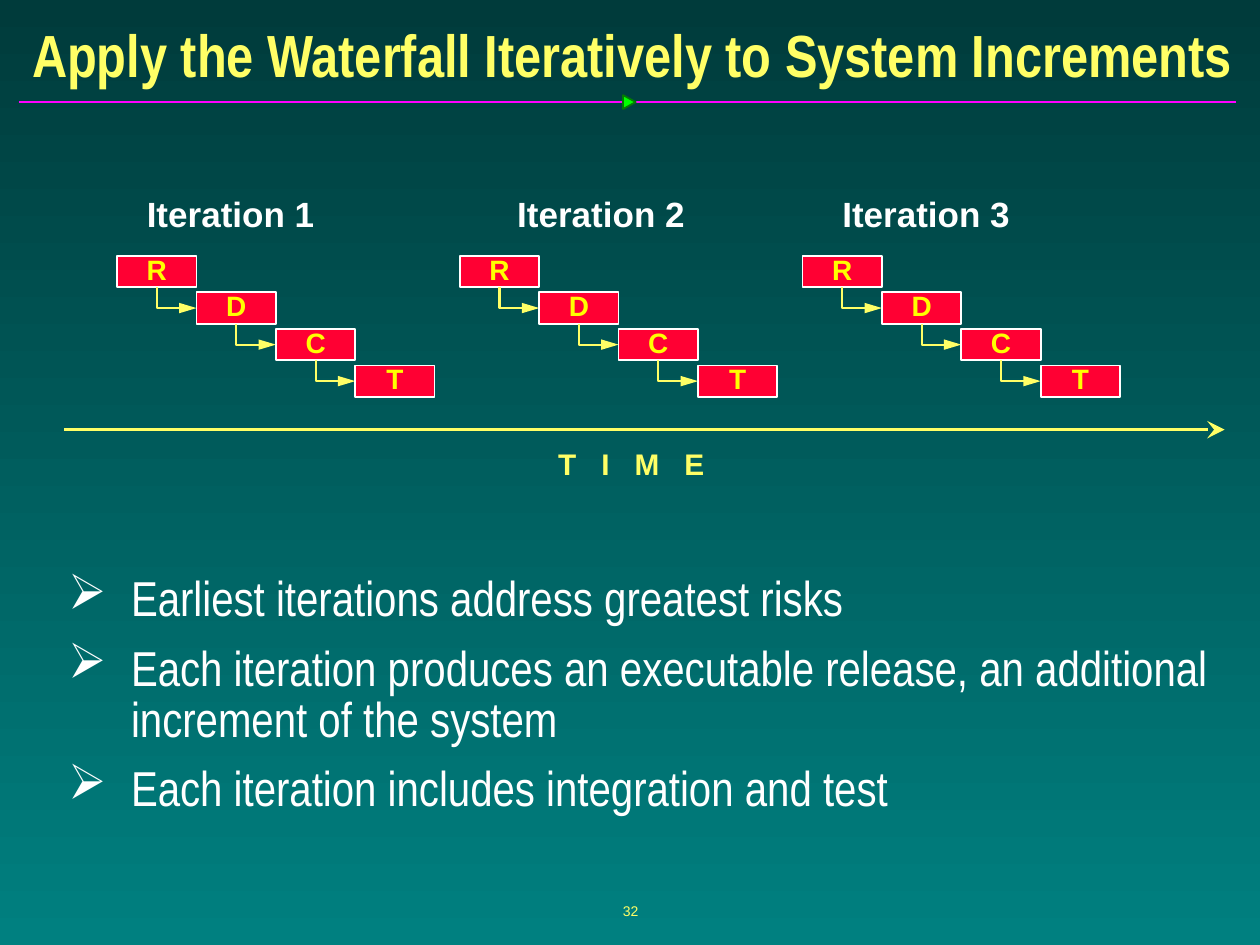
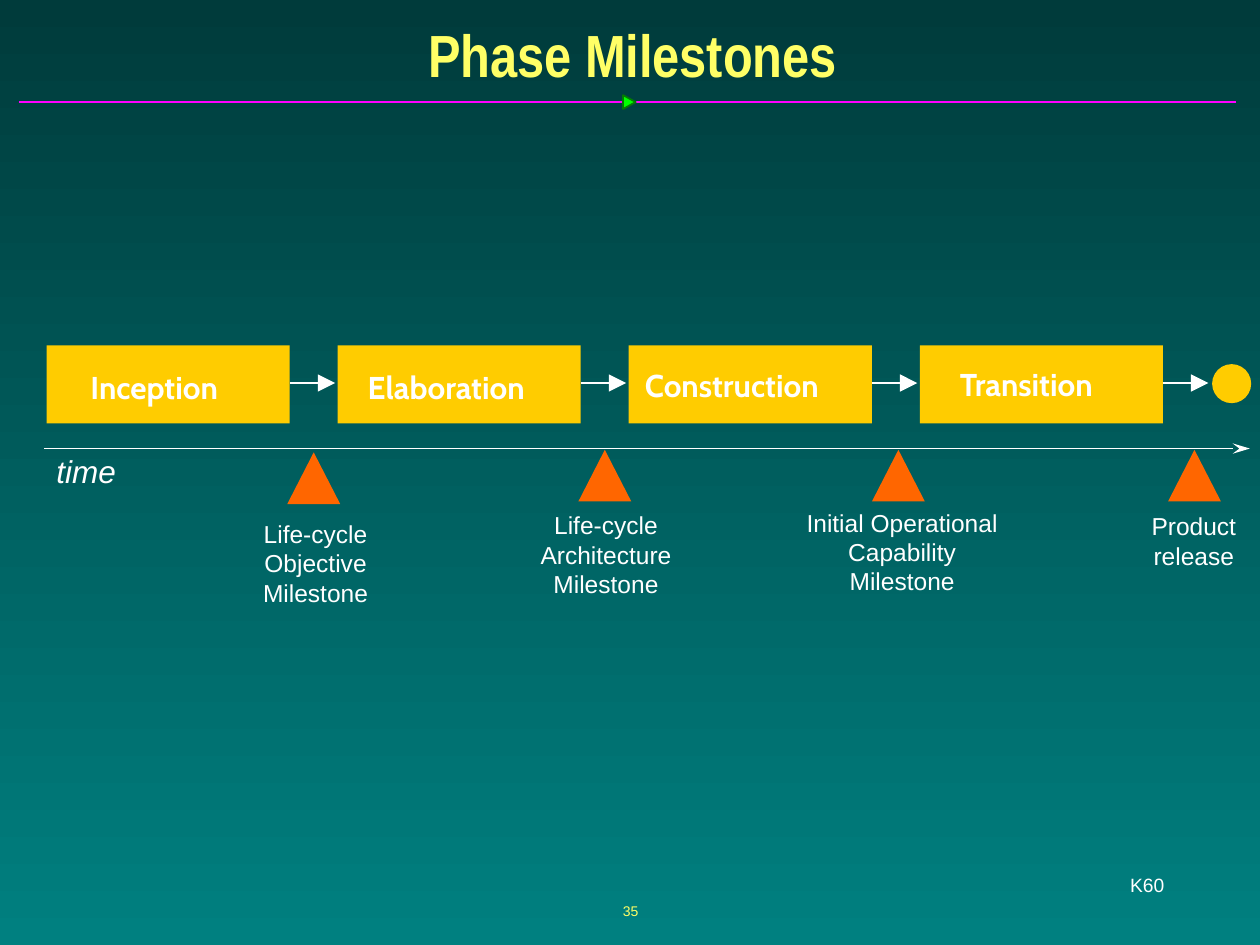
from dataclasses import dataclass

import pptx
import pptx.util
import pptx.dml.color
import pptx.enum.dml
import pptx.enum.shapes
import pptx.enum.text
import pptx.oxml
import pptx.oxml.ns

INCHES = pptx.util.Inches
SHAPE = pptx.enum.shapes.MSO_SHAPE
CONNECTOR = pptx.enum.shapes.MSO_CONNECTOR
ALIGN = pptx.enum.text.PP_ALIGN
ANCHOR = pptx.enum.text.MSO_ANCHOR
AUTO_SIZE = pptx.enum.text.MSO_AUTO_SIZE

WATERFALL = {
    "title": "Apply the Waterfall Iteratively to System Increments",
    "number": "32",
    "iterations": [("Iteration 1", 1.83), ("Iteration 2", 4.77), ("Iteration 3", 7.35)],
    "steps": ["R", "D", "C", "T"],
    "axis": "T I M E",
    "points": [
        "Earliest iterations address greatest risks",
        "Each iteration produces an executable release, an additional increment of the system",
        "Each iteration includes integration and test",
    ],
}
MILESTONES = {
    "title": "Phase Milestones",
    "number": "35",
    "axis": "time",
    "code": "K60",
    "phases": [
        ("Inception", (0.62, 2.87, 1.4, 0.4)),
        ("Elaboration", (2.82, 2.87, 1.65, 0.4)),
        ("Construction", (5.02, 2.86, 1.82, 0.4)),
        ("Transition", (7.52, 2.85, 1.48, 0.4)),
    ],
    "milestones": [
        ("Life-cycle\nObjective\nMilestone", (2.28, 3.59), (1.99, 4.07, 1.03, 0.8)),
        ("Life-cycle\nArchitecture\nMilestone", (4.59, 3.57), (4.19, 4.0, 1.24, 0.8)),
        ("Initial Operational\nCapability\nMilestone", (6.92, 3.57), (6.3, 3.98, 1.72, 0.8)),
        ("Product\nrelease", (9.27, 3.57), (9.04, 4.01, 0.87, 0.57)),
    ],
}


@dataclass(frozen=True)
class Theme:
    width: float = 10
    height: float = 7.5
    top_shade: str = "003B3B"
    bottom_shade: str = "008080"
    rule: str = "FF01FF"
    marker: str = "00FF00"
    marker_edge: str = "037C03"
    accent: str = "FFFF66"
    light: str = "FFFFFF"
    step: str = "FF0033"
    step_text: str = "FFFF00"
    phase: str = "FFCC00"
    milestone: str = "FF6600"
    sans: str = "Arial"
    narrow: str = "Arial Narrow"
    rounded: str = "Cabin"
    title_size: int = 34
    body_size: int = 28
    heading_size: int = 20
    label_size: int = 18
    axis_size: int = 17
    step_size: int = 16
    caption_size: int = 14
    code_size: int = 11
    number_size: int = 8


THEME = Theme()


def rgb(colour):
    return pptx.dml.color.RGBColor.from_string(colour)


def write(holder, text, size, colour, font=THEME.sans, align=ALIGN.CENTER,
          bold=False, italic=False, wrap=False, anchor=ANCHOR.TOP, inset=(0.1, 0.05)):
    frame = holder.text_frame
    frame.text = text
    frame.word_wrap = wrap
    frame.auto_size = AUTO_SIZE.NONE
    frame.vertical_anchor = anchor
    frame.margin_left = frame.margin_right = INCHES(inset[0])
    frame.margin_top = frame.margin_bottom = INCHES(inset[1])
    for paragraph in frame.paragraphs:
        paragraph.alignment = align
        for run in paragraph.runs:
            run.font.name = font
            run.font.size = pptx.util.Pt(size)
            run.font.bold = bold
            run.font.italic = italic
            run.font.color.rgb = rgb(colour)
    return frame


def add_text(slide, box, text, size, colour, **style):
    return write(slide.shapes.add_textbox(*map(INCHES, box)), text, size, colour, **style)


def add_block(slide, kind, box, fill, edge=None):
    block = slide.shapes.add_shape(kind, *map(INCHES, box))
    block.shadow.inherit = False
    block.fill.solid()
    block.fill.fore_color.rgb = rgb(fill)
    if edge:
        block.line.color.rgb = rgb(edge)
        block.line.width = pptx.util.Pt(1)
    else:
        block.line.fill.background()
    return block


def add_line(slide, start, end, colour, weight, head=None, head_width="lg", kind=CONNECTOR.STRAIGHT):
    line = slide.shapes.add_connector(kind, *map(INCHES, (*start, *end)))
    line.line.color.rgb = rgb(colour)
    line.line.width = pptx.util.Pt(weight)
    if head:
        tail = pptx.oxml.ns.qn("a:tailEnd")
        line.line._get_or_add_ln().append(
            line._element.makeelement(tail, {"type": head, "w": head_width, "len": "lg"}))
    properties = line._element.spPr
    properties.append(properties.makeelement(pptx.oxml.ns.qn("a:effectLst"), {}))
    return line


def add_step_arrow(slide, x, y, run, drop):
    middle_x, middle_y = x + run / 2, y + drop / 2
    arrow = add_line(slide, (middle_x + drop / 2, middle_y - run / 2),
                     (middle_x - drop / 2, middle_y + run / 2),
                     THEME.accent, 1.25, "triangle", "med", CONNECTOR.ELBOW)
    properties = arrow._element.spPr
    properties.find(pptx.oxml.ns.qn("a:xfrm")).set("rot", str(270 * 60000))
    properties.find(pptx.oxml.ns.qn("a:prstGeom")).set("prst", "bentConnector2")


def add_bullet(paragraph, mark, indent):
    properties = paragraph._p.get_or_add_pPr()
    properties.set("marL", str(INCHES(indent)))
    properties.set("indent", str(-INCHES(indent)))
    namespace = pptx.oxml.ns.nsdecls("a")
    for xml in (f'<a:buClr {namespace}><a:srgbClr val="{THEME.light}"/></a:buClr>',
                f'<a:buChar {namespace} char="{mark}"/>'):
        properties.append(pptx.oxml.parse_xml(xml))


def start_slide(deck, content):
    slide = deck.slides.add_slide(deck.slide_layouts[5])
    fill = slide.background.fill
    fill.gradient()
    fill.gradient_angle = 270
    for stop, position, shade in zip(fill.gradient_stops, (0, 1), (THEME.top_shade, THEME.bottom_shade)):
        stop.position = position
        stop.color.rgb = rgb(shade)
    add_line(slide, (0.15, 0.81), (9.81, 0.81), THEME.rule, 1)
    marker = add_block(slide, SHAPE.ISOSCELES_TRIANGLE, (4.94, 0.76, 0.11, 0.1),
                       THEME.marker, THEME.marker_edge)
    marker.rotation = 90
    add_text(slide, (3.42, 6.98, 3.17, 0.5), content["number"], THEME.number_size,
             THEME.accent, anchor=ANCHOR.MIDDLE)
    title = slide.shapes.title
    title.left, title.top, title.width, title.height = map(INCHES, (0.1, 0.14, 9.84, 0.58))
    write(title, content["title"], THEME.title_size, THEME.accent, font=THEME.narrow,
          bold=True, wrap=True, anchor=ANCHOR.MIDDLE)
    return slide


def build_waterfall(deck, content):
    slide = start_slide(deck, content)
    left, top, iteration_pitch = 0.93, 2.03, 2.72
    step_width, step_height, step_pitch = 0.63, 0.25, 0.29
    heading_width = 1.61

    for column, (heading, centre) in enumerate(content["iterations"]):
        add_text(slide, (centre - heading_width / 2, 1.48, heading_width, 0.44), heading,
                 THEME.heading_size, THEME.light, bold=True)
        for row, step in enumerate(content["steps"]):
            x = left + column * iteration_pitch + row * step_width
            y = top + row * step_pitch
            block = add_block(slide, SHAPE.RECTANGLE, (x, y, step_width, step_height),
                              THEME.step, THEME.light)
            frame = write(block, step, THEME.step_size, THEME.step_text, bold=True,
                          anchor=ANCHOR.MIDDLE, inset=(0.09, 0.04))
            frame.paragraphs[0].line_spacing = 0.87
            if row < len(content["steps"]) - 1:
                add_step_arrow(slide, x + step_width / 2, y + step_height,
                               step_width / 2, step_pitch - step_height / 2)

    add_line(slide, (0.51, 3.41), (9.72, 3.41), THEME.accent, 2, "stealth")
    axis = add_text(slide, (4.34, 3.53, 1.33, 0.34), content["axis"], THEME.axis_size,
                    THEME.accent, align=ALIGN.LEFT, bold=True, inset=(0.09, 0.04))
    axis.paragraphs[0].line_spacing = 0.9
    axis.paragraphs[0].runs[0].font._element.set("spc", "475")

    points = add_text(slide, (0.42, 4.51, 9.29, 1.43), "\n".join(content["points"]),
                      THEME.body_size, THEME.light, font=THEME.narrow, align=ALIGN.LEFT,
                      wrap=True, inset=(0.12, 0.06))
    for index, paragraph in enumerate(points.paragraphs):
        add_bullet(paragraph, "➢", 0.5)
        paragraph.line_spacing = 0.87
        paragraph.space_before = pptx.util.Pt(10.5 if index else 0)


def build_milestones(deck, content):
    slide = start_slide(deck, content)
    left, top, pitch, phase_width, phase_height = 0.37, 2.74, 2.31, 1.93, 0.62
    arrow_y, arrow_length, marker_size = 3.04, 0.36, (0.42, 0.41)

    for column, (phase, label_box) in enumerate(content["phases"]):
        x = left + column * pitch
        add_block(slide, SHAPE.RECTANGLE, (x, top, phase_width, phase_height), THEME.phase)
        add_line(slide, (x + phase_width, arrow_y), (x + phase_width + arrow_length, arrow_y),
                 THEME.light, 1, "triangle")
        add_text(slide, label_box, phase, THEME.label_size, THEME.light, font=THEME.rounded,
                 align=ALIGN.LEFT, bold=True)
    add_block(slide, SHAPE.OVAL, (9.62, 2.89, 0.31, 0.31), THEME.phase)

    add_line(slide, (0.35, 3.56), (9.92, 3.56), THEME.light, 1, "stealth", "med")
    add_text(slide, (0.35, 3.54, 0.67, 0.4), content["axis"], THEME.label_size, THEME.light,
             align=ALIGN.LEFT, italic=True)
    for caption, marker_corner, caption_box in content["milestones"]:
        add_block(slide, SHAPE.FLOWCHART_EXTRACT, (*marker_corner, *marker_size), THEME.milestone)
        add_text(slide, caption_box, caption, THEME.caption_size, THEME.light)
    add_text(slide, (8.87, 6.88, 0.47, 0.29), content["code"], THEME.code_size, THEME.light)


def main():
    deck = pptx.Presentation()
    deck.slide_width = INCHES(THEME.width)
    deck.slide_height = INCHES(THEME.height)
    build_waterfall(deck, WATERFALL)
    build_milestones(deck, MILESTONES)
    deck.save("out.pptx")


if __name__ == "__main__":
    main()
